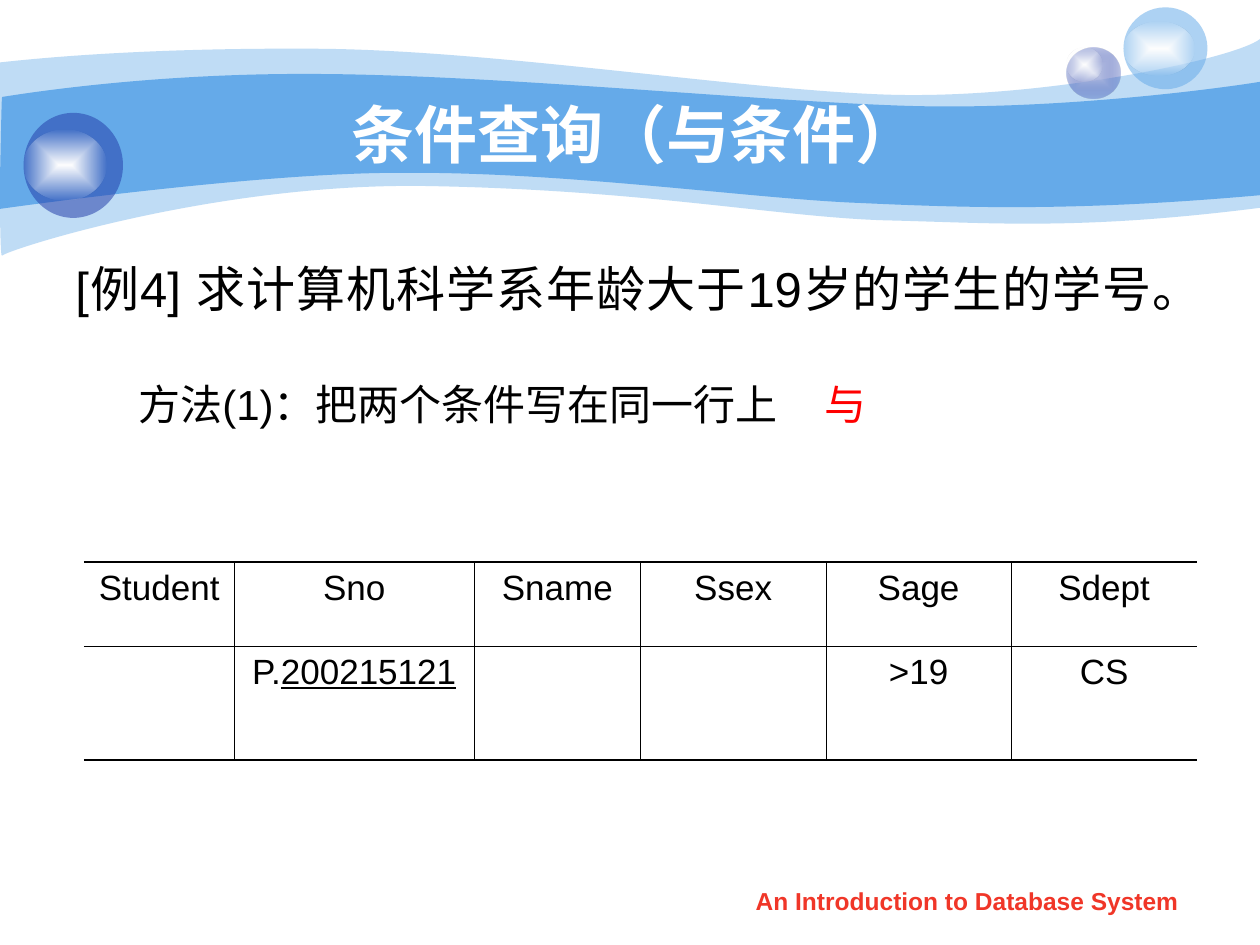
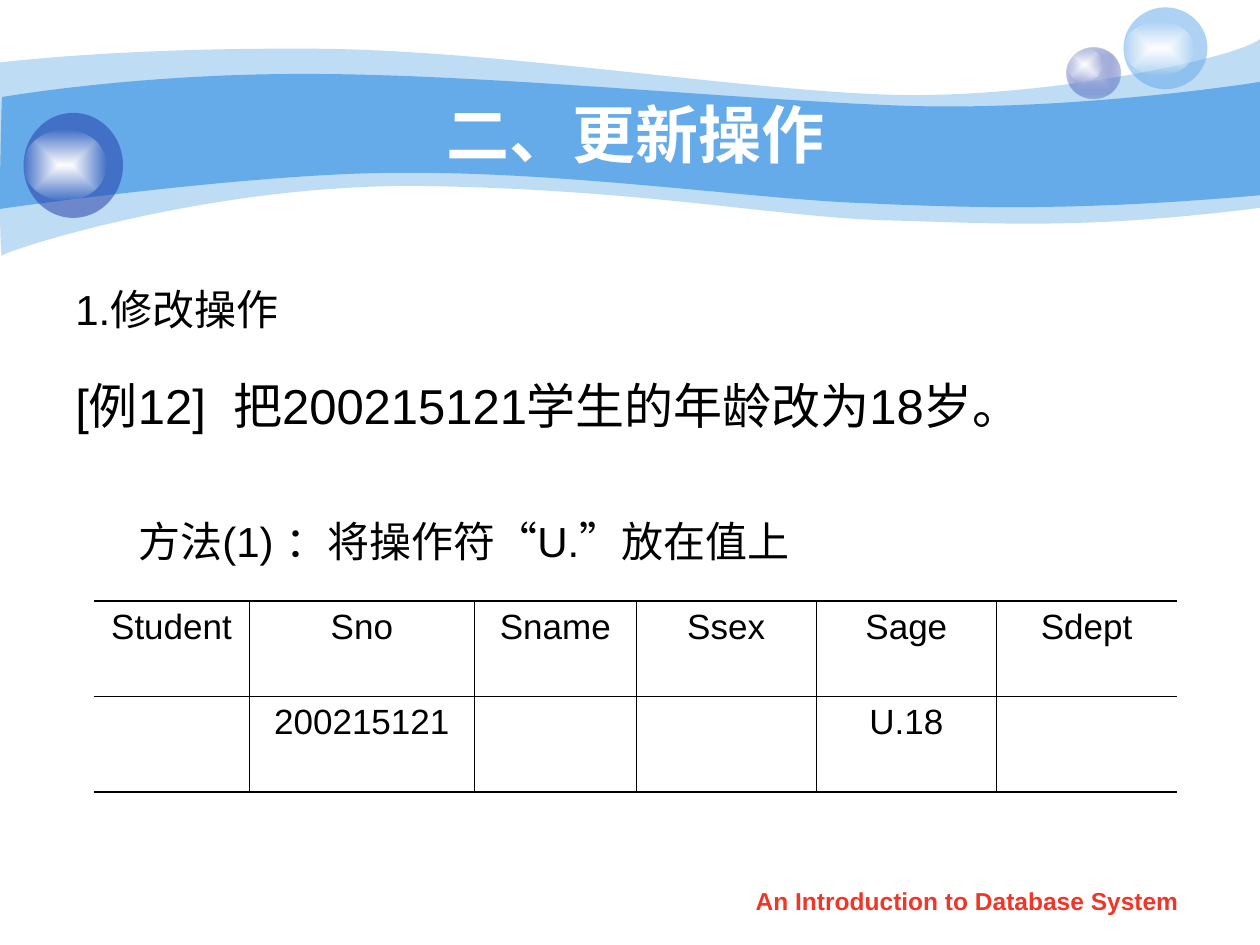
from dataclasses import dataclass

import pptx
import pptx.dml.color
import pptx.enum.shapes
import pptx.enum.text
import pptx.oxml
import pptx.oxml.ns
import pptx.util

Pt = pptx.util.Pt
Align = pptx.enum.text.PP_ALIGN
Point = tuple[float, float]
Bounds = tuple[float, float, float, float]
Stop = tuple[str, int]

COLOURS = {
    "sky": "65AAE9",
    "navy": "233DA9",
    "lavender": "C7CEE9",
    "white": "FFFFFF",
    "black": "000000",
    "footer": "F03628",
    "accent": "FF0000",
}
FONT = "Arial"
FOOTER = "An Introduction to Database System"
HEADINGS = ("Student", "Sno", "Sname", "Ssex", "Sage", "Sdept")
THIN, THICK = 0.45, 1.08


@dataclass(frozen=True)
class Span:
    text: str
    colour: str = "black"
    underline: bool = False
    spacing: float = 0


@dataclass(frozen=True)
class Para:
    spans: tuple[Span, ...]
    size: float
    align: Align = Align.CENTER
    margin: float = 0
    hanging: float = 0
    before: float = 0
    line_spacing: float = 1
    bold: bool = False


@dataclass(frozen=True)
class Wave:
    start: Point
    segments: tuple[tuple[Point, ...], ...]
    fill: Stop


@dataclass(frozen=True)
class Orb:
    bounds: Bounds
    stops: tuple[Stop, ...]


@dataclass(frozen=True)
class QueryTable:
    left: float
    top: float
    widths: tuple[float, ...]
    heights: tuple[float, float]
    values: dict[str, tuple[Span, ...]]


@dataclass(frozen=True)
class Lesson:
    title: str
    body: tuple[Para, ...]
    body_height: float
    table: QueryTable


GLOW = (("white", 100), ("white", 0))

WAVES = (
    Wave(
        (0, 35.7),
        (
            ((17.28, 33.84), (77.76, 27.36), (177.84, 27.9)),
            ((277.92, 28.08), (414, 50.4), (503.28, 54)),
            ((591.84, 57.6), (705.6, 33.84), (720, 22.32)),
            ((720, 118.8),),
            ((617.76, 131.76), (567.36, 127.44), (507.6, 126)),
            ((447.84, 124.56), (370.8, 108.72), (246.96, 106.4)),
            ((123.84, 103.68), (2.88, 143.28), (1.2, 146.16)),
            ((-0.72, 149.76), (0, 54), (0, 35.7)),
        ),
        ("sky", 41),
    ),
    Wave(
        (1.2, 55.44),
        (
            ((2.16, 55.44), (79.2, 41.76), (178.56, 42.3)),
            ((278.64, 42.48), (429.12, 57.6), (516.96, 60.48)),
            ((605.52, 63.36), (702.72, 49.68), (720, 46.8)),
            ((720, 111.6),),
            ((614.16, 120.96), (551.52, 118.8), (491.04, 116)),
            ((431.28, 113.76), (321.84, 97.92), (228.24, 98.8)),
            ((146.16, 98.64), (-1.44, 119.52), (-0.72, 119.52)),
            ((0, 119.52), (0.72, 55.44), (1.2, 55.44)),
        ),
        ("sky", 100),
    ),
)

ORBS = (
    Orb((609.5, 27, 30.9, 29.2), (("lavender", 100), ("navy", 31))),
    Orb((609.5, 27, 20.2, 19.4), GLOW),
    Orb((642, 4.2, 48, 46.8), (("sky", 53),)),
    Orb((642, 12.2, 40.3, 31), GLOW),
    Orb((13.5, 64.5, 56.8, 60), (("navy", 53),)),
    Orb((13.5, 74.2, 47.5, 40.3), GLOW),
)


def rgb(name: str) -> pptx.dml.color.RGBColor:
    return pptx.dml.color.RGBColor.from_string(COLOURS[name])


def colour_xml(stop: Stop) -> str:
    name, alpha = stop
    return f'<a:srgbClr val="{COLOURS[name]}"><a:alpha val="{alpha * 1000}"/></a:srgbClr>'


def paint(shape, stops: tuple[Stop, ...]) -> None:
    shape.shadow.inherit = False
    shape.line.fill.background()
    shape.fill.background()
    namespace = pptx.oxml.ns.nsdecls("a")
    if len(stops) == 1:
        xml = f"<a:solidFill {namespace}>{colour_xml(stops[0])}</a:solidFill>"
    else:
        first, last = map(colour_xml, stops)
        xml = (
            f'<a:gradFill {namespace} rotWithShape="1"><a:gsLst>'
            f'<a:gs pos="0">{first}</a:gs><a:gs pos="100000">{last}</a:gs></a:gsLst>'
            '<a:path path="rect"><a:fillToRect l="50000" t="50000" r="50000" b="50000"/>'
            "</a:path></a:gradFill>"
        )
    properties = shape._element.spPr
    empty_fill = properties.find(pptx.oxml.ns.qn("a:noFill"))
    properties.replace(empty_fill, pptx.oxml.parse_xml(xml))


def draw_wave(page, wave: Wave) -> None:
    builder = page.shapes.build_freeform(Pt(wave.start[0]), Pt(wave.start[1]))
    for segment in wave.segments:
        builder.add_line_segments([(Pt(x), Pt(y)) for x, y in segment], close=False)
    builder.add_line_segments([], close=True)
    shape = builder.convert_to_shape()
    lines = iter(list(shape._element.iter(pptx.oxml.ns.qn("a:lnTo"))))
    for segment in wave.segments:
        first, *others = [next(lines) for _ in segment]
        if others:
            curve = pptx.oxml.parse_xml(f'<a:cubicBezTo {pptx.oxml.ns.nsdecls("a")}/>')
            first.addprevious(curve)
            for line in (first, *others):
                curve.append(line[0])
                line.getparent().remove(line)
    paint(shape, (wave.fill,))


def draw_orb(page, orb: Orb) -> None:
    oval = pptx.enum.shapes.MSO_SHAPE.OVAL
    paint(page.shapes.add_shape(oval, *map(Pt, orb.bounds)), orb.stops)


def write_para(paragraph, para: Para) -> None:
    paragraph.text = para.spans[0].text
    for span in para.spans[1:]:
        paragraph.add_run().text = span.text
    paragraph.alignment = para.align
    paragraph.space_before = Pt(para.before)
    paragraph.line_spacing = para.line_spacing
    properties = paragraph._p.get_or_add_pPr()
    properties.set("marL", str(Pt(para.margin)))
    properties.set("indent", str(Pt(-para.hanging)))
    for run, span in zip(paragraph.runs, para.spans):
        run.font.name = FONT
        run.font.size = Pt(para.size)
        run.font.bold = para.bold
        run.font.underline = span.underline
        run.font.color.rgb = rgb(span.colour)
        if span.spacing:
            run._r.get_or_add_rPr().set("spc", str(round(span.spacing * 100)))


def draw_text(page, bounds: Bounds, paras: tuple[Para, ...], middle: bool = False) -> None:
    box = page.shapes.add_textbox(*map(Pt, bounds))
    frame = box.text_frame
    frame.word_wrap = True
    anchors = pptx.enum.text.MSO_ANCHOR
    frame.vertical_anchor = anchors.MIDDLE if middle else anchors.TOP
    for index, para in enumerate(paras):
        write_para(frame.add_paragraph() if index else frame.paragraphs[0], para)


def set_border(cell, side: str, width: float) -> None:
    fill = f'<a:solidFill><a:srgbClr val="{COLOURS["black"]}"/></a:solidFill>' if width else "<a:noFill/>"
    border = pptx.oxml.parse_xml(
        f'<a:{side} {pptx.oxml.ns.nsdecls("a")} w="{Pt(width)}">{fill}</a:{side}>'
    )
    cell._tc.get_or_add_tcPr().append(border)


def draw_table(page, spec: QueryTable) -> None:
    rows = (
        [(Span(heading),) for heading in HEADINGS],
        [spec.values.get(heading, ()) for heading in HEADINGS],
    )
    last_row, last_column = len(rows) - 1, len(HEADINGS) - 1
    bounds = (spec.left, spec.top, sum(spec.widths), sum(spec.heights))
    table = page.shapes.add_table(len(rows), len(HEADINGS), *map(Pt, bounds)).table
    table.first_row = table.horz_banding = False
    for column, width in zip(table.columns, spec.widths):
        column.width = Pt(width)
    for row, height in zip(table.rows, spec.heights):
        row.height = Pt(height)
    for row_index, row in enumerate(rows):
        for column_index, spans in enumerate(row):
            cell = table.cell(row_index, column_index)
            set_border(cell, "lnL", THIN if column_index else 0)
            set_border(cell, "lnR", THIN if column_index < last_column else 0)
            set_border(cell, "lnT", THIN if row_index else THICK)
            set_border(cell, "lnB", THIN if row_index < last_row else THICK)
            cell.fill.background()
            if spans:
                write_para(cell.text_frame.paragraphs[0], Para(spans, 20))


def draw_lesson(deck, lesson: Lesson) -> None:
    page = deck.slides.add_slide(deck.slide_layouts[6])
    for wave in WAVES:
        draw_wave(page, wave)
    for orb in ORBS:
        draw_orb(page, orb)
    draw_text(page, (411, 502.5, 283.5, 25), (Para((Span(FOOTER, "footer"),), 14, bold=True),))
    title = Para((Span(lesson.title, "white"),), 36, bold=True)
    draw_text(page, (72, 53.8, 582, 44.6), (title,), middle=True)
    draw_text(page, (36, 144, 630, lesson.body_height), lesson.body)
    draw_table(page, lesson.table)


def example(*spans: Span, size: float = 28, before: float = 0, line_spacing: float = 1) -> Para:
    return Para(spans, size, Align.JUSTIFY, 27, 27, before, line_spacing)


def method(*spans: Span, before: float) -> Para:
    return Para(spans, 24, Align.JUSTIFY, 58.5, 22.5, before)


LESSONS = (
    Lesson(
        "条件查询（与条件）",
        (
            example(Span("[例4] 求计算机科学系年龄大于19岁的学生的学号。")),
            method(
                Span("方法(1)：把两个条件写在同一行上"),
                Span(" ", spacing=21.3),
                Span("与", "accent"),
                before=35.2,
            ),
        ),
        154,
        QueryTable(
            48,
            321.2,
            (86, 137, 95, 106, 106, 106),
            (48.2, 64.8),
            {
                "Sno": (Span("P."), Span("200215121", underline=True)),
                "Sage": (Span(">19"),),
                "Sdept": (Span("CS"),),
            },
        ),
    ),
    Lesson(
        "二、更新操作",
        (
            example(Span("1.修改操作"), size=24, line_spacing=1.5),
            example(
                Span("[例12]"),
                Span(" ", spacing=7.8),
                Span("把200215121学生的年龄改为18岁。"),
                before=7,
                line_spacing=1.5,
            ),
            method(Span("方法(1) ：将操作符“U.”放在值上"), before=46.6),
        ),
        217,
        QueryTable(
            53.8,
            343.6,
            (88.5, 129, 92.2, 103, 103, 103),
            (54.2, 54.8),
            {"Sno": (Span("200215121"),), "Sage": (Span("U.18"),)},
        ),
    ),
)


def main() -> None:
    deck = pptx.Presentation()
    deck.slide_width, deck.slide_height = Pt(720), Pt(540)
    for lesson in LESSONS:
        draw_lesson(deck, lesson)
    deck.save("out.pptx")


if __name__ == "__main__":
    main()
